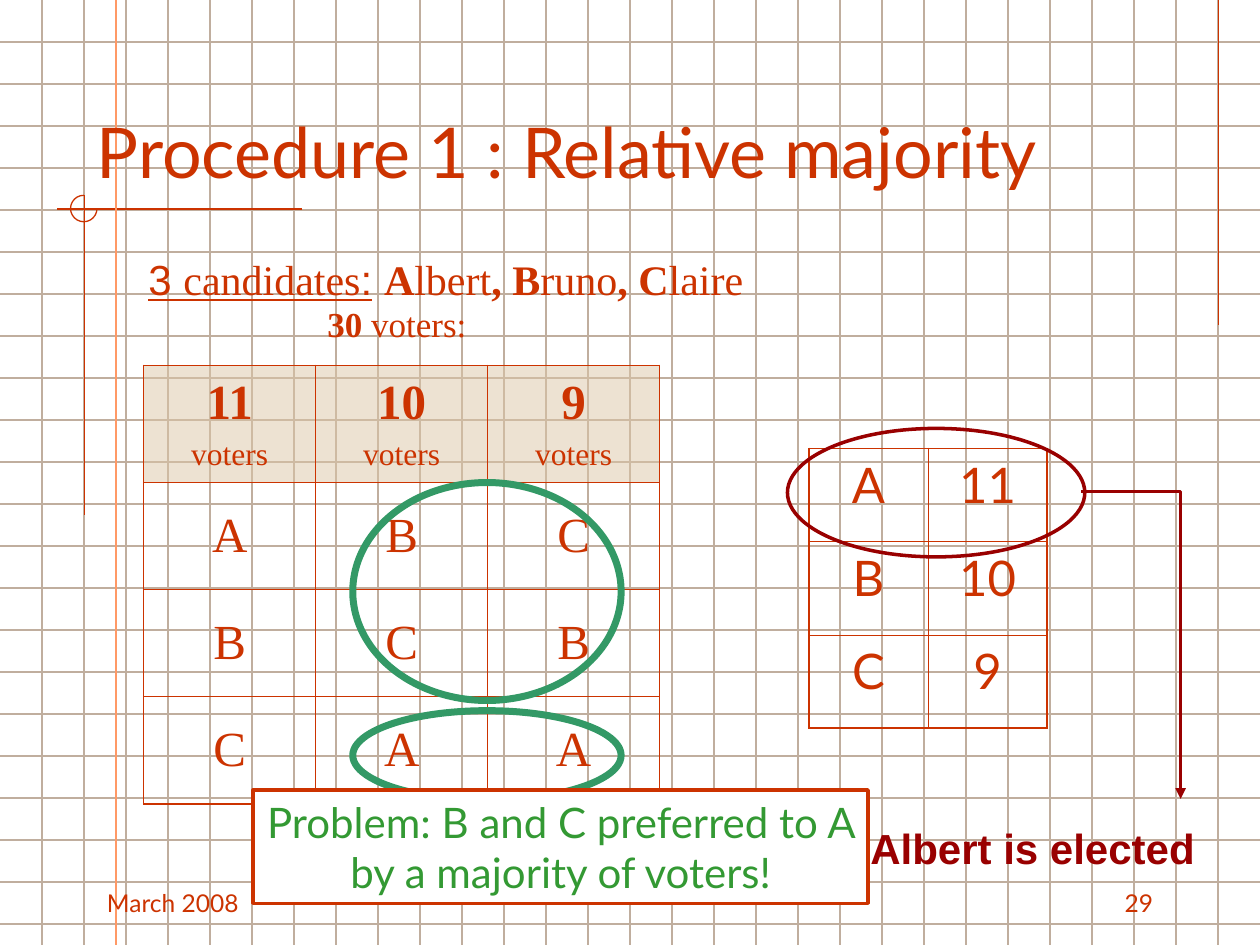
from typing import NamedTuple

from lxml import etree
from pptx import Presentation
from pptx.dml.color import RGBColor
from pptx.enum.shapes import MSO_CONNECTOR, MSO_SHAPE
from pptx.enum.text import MSO_ANCHOR, PP_ALIGN
from pptx.oxml.ns import qn
from pptx.util import Inches, Pt

STRAIGHT = MSO_CONNECTOR.STRAIGHT
OVAL, RECT, ARC = MSO_SHAPE.OVAL, MSO_SHAPE.RECTANGLE, MSO_SHAPE.ARC
LEFT, CENTER, RIGHT = PP_ALIGN.LEFT, PP_ALIGN.CENTER, PP_ALIGN.RIGHT
TOP, MIDDLE, BOTTOM = MSO_ANCHOR.TOP, MSO_ANCHOR.MIDDLE, MSO_ANCHOR.BOTTOM

WIDTH, HEIGHT, GRID_STEP = 10, 7.5, 1 / 3
RED, DARK_RED, GREEN, TEXT_GREEN = "CC3300", "990000", "339966", "339933"
GRID, MARGIN, TAN, WHITE = "C0AE9E", "FF9966", "DDC6A7", "FFFFFF"
SANS, SERIF, ARIAL = "Lato", "Times New Roman", "Arial"
INNER, OUTER = 0.45, 1.08


class Span(NamedTuple):
    text: str
    font: str | None = None
    bold: bool | None = None
    underline: bool | None = None


class Label(NamedTuple):
    box: tuple[float, float, float, float]
    spans: list[Span]
    size: float
    font: str = SANS
    color: str = RED
    align: PP_ALIGN = LEFT
    anchor: MSO_ANCHOR = TOP


class Ellipse(NamedTuple):
    box: tuple[float, float, float, float]
    color: str
    width: float


class Grid(NamedTuple):
    left: float
    top: float
    col_width: float
    row_heights: list[float]
    rows: list[list[str]]
    font: str
    anchor: MSO_ANCHOR
    header: bool


def rgb(color: str) -> RGBColor:
    return RGBColor.from_string(color)


def inches(values) -> list[int]:
    return [Inches(v) for v in values]


def set_line(sp, color: str, width: float) -> None:
    sp.line.color.rgb = rgb(color)
    sp.line.width = Pt(width)


def set_font(p, size: float, font: str, color: str) -> None:
    p.font.size = Pt(size)
    p.font.name = font
    p.font.color.rgb = rgb(color)


def add_line(shapes, x1: float, y1: float, x2: float, y2: float,
             color: str, width: float = 0.75) -> None:
    line = shapes.add_connector(STRAIGHT, *inches((x1, y1, x2, y2)))
    set_line(line, color, width)
    etree.SubElement(line._element.spPr, qn("a:effectLst"))


def add_outline(shapes, kind: MSO_SHAPE, box, color: str, width: float):
    """Add an unfilled preset shape."""
    sp = shapes.add_shape(kind, *inches(box))
    sp.shadow.inherit = False
    sp.fill.background()
    set_line(sp, color, width)
    return sp


def write(tf, label: Label) -> None:
    tf.word_wrap = True
    tf.vertical_anchor = label.anchor
    p = tf.paragraphs[0]
    p.alignment = label.align
    set_font(p, label.size, label.font, label.color)
    for span in label.spans:
        r = p.add_run()
        r.text = span.text
        if span.font:
            r.font.name = span.font
        r.font.bold = span.bold
        r.font.underline = span.underline


def add_label(shapes, label: Label) -> None:
    write(shapes.add_textbox(*inches(label.box)).text_frame, label)


def set_borders(cell, widths: dict[str, float]) -> None:
    tc_pr = cell._tc.get_or_add_tcPr()
    for side, width in widths.items():
        ln = etree.SubElement(tc_pr, qn(f"a:ln{side}"), w=str(Pt(width)))
        fill = etree.SubElement(ln, qn("a:solidFill"))
        etree.SubElement(fill, qn("a:srgbClr"), val=RED)


def fill_header(cell) -> None:
    """Fill the cell with half-transparent tan."""
    cell.fill.solid()
    cell.fill.fore_color.rgb = rgb(TAN)
    color = cell._tc.tcPr.find(f"{qn('a:solidFill')}/{qn('a:srgbClr')}")
    etree.SubElement(color, qn("a:alpha"), val="50000")


def add_grid(shapes, grid: Grid) -> None:
    n_rows, n_cols = len(grid.rows), len(grid.rows[0])
    box = (grid.left, grid.top, grid.col_width * n_cols, sum(grid.row_heights))
    table = shapes.add_table(n_rows, n_cols, *inches(box)).table
    table.first_row = table.horz_banding = False
    for col in table.columns:
        col.width = Inches(grid.col_width)
    heavy_rows = {0, n_rows} | ({1} if grid.header else set())
    for i, texts in enumerate(grid.rows):
        table.rows[i].height = Inches(grid.row_heights[i])
        for j, text in enumerate(texts):
            cell = table.cell(i, j)
            is_header = grid.header and i == 0
            set_borders(cell, {
                "L": OUTER if j == 0 else INNER,
                "R": OUTER if j == n_cols - 1 else INNER,
                "T": OUTER if i in heavy_rows else INNER,
                "B": OUTER if i + 1 in heavy_rows else INNER,
            })
            if is_header:
                fill_header(cell)
            else:
                cell.fill.background()
            cell.vertical_anchor = grid.anchor
            cell.text = text
            for k, p in enumerate(cell.text_frame.paragraphs):
                p.alignment = CENTER
                set_font(p, 18 if k else 28, grid.font, RED)
                p.font.bold = is_header and k == 0
                if k:
                    p.space_before = Pt(4.5)


def add_background(shapes) -> None:
    """Draw the squared paper and the corner ornaments."""
    for i in range(1, 23):
        add_line(shapes, 0, i * GRID_STEP, WIDTH, i * GRID_STEP, GRID)
    for i in range(1, 30):
        add_line(shapes, i * GRID_STEP, 0, i * GRID_STEP, HEIGHT, GRID)
    add_line(shapes, 9.67, 0, 9.67, 2.58, RED)
    add_line(shapes, 2.4, 1.66, 0.45, 1.66, RED)
    add_line(shapes, 0.67, 1.55, 0.67, 4.09, RED)
    arc = add_outline(shapes, ARC, (0.56, 1.55, 0.21, 0.21), RED, 0.75)
    arc.adjustments[0], arc.adjustments[1] = 0, 162  # 0 to 270 degrees


def add_result_arrow(shapes) -> None:
    start, *rest = [inches(pt) for pt in ((8.58, 3.9), (9.37, 3.9), (9.37, 6.34))]
    builder = shapes.build_freeform(*start)
    builder.add_line_segments(rest, close=False)
    sp = builder.convert_to_shape()
    sp.shadow.inherit = False
    sp.fill.background()
    set_line(sp, DARK_RED, 2)
    etree.SubElement(sp.line._get_or_add_ln(), qn("a:tailEnd"), type="triangle")


PREFERENCES = Grid(1.14, 2.9, 1.365, [0.93, 0.85, 0.85, 0.85],
                   [["11\nvoters", "10\nvoters", "9\nvoters"],
                    ["A", "B", "C"], ["B", "C", "B"], ["C", "A", "A"]],
                   SERIF, MIDDLE, True)
SCORES = Grid(6.42, 3.56, 0.945, [0.74] * 3,
              [["A", "11"], ["B", "10"], ["C", "9"]], SANS, TOP, False)
CANDIDATES = [
    Span("3 ", ARIAL, underline=True), Span("candidates", underline=True),
    Span(":", ARIAL, underline=True), Span(" ", ARIAL, True),
    Span("A", bold=True), Span("lbert"), Span(", B", bold=True),
    Span("runo"), Span(", C", bold=True), Span("laire"),
]
LABELS = [
    Label((0.75, 6.83, 2.08, 0.5), [Span("March 2008")], 14, anchor=BOTTOM),
    Label((7.17, 6.83, 2.08, 0.5), [Span("29")], 14, align=RIGHT, anchor=BOTTOM),
    Label((1.08, 1.96, 5.33, 0.5), CANDIDATES, 24, SERIF),
    Label((6.81, 6.48, 2.8, 0.5), [Span("Albert is elected", bold=True)], 24, ARIAL, DARK_RED),
    Label((2.5, 2.35, 1.4, 0.44), [Span("30", bold=True), Span(" voters:")], 20, SERIF),
    Label((0.67, 0.33, 8.5, 1.25), [Span("Procedure 1 : Relative majority")], 40, anchor=BOTTOM),
]
ELLIPSES = [
    Ellipse((6.25, 3.4, 2.36, 1.02), DARK_RED, 2),
    Ellipse((2.8, 5.64, 2.13, 0.71), GREEN, 4),
    Ellipse((2.8, 3.83, 2.13, 1.73), GREEN, 4),
]
PROBLEM = Label((2.01, 6.27, 4.88, 0.9),
                [Span("Problem: B and C preferred to A by a majority of voters!")],
                24, color=TEXT_GREEN, align=CENTER)


def main() -> None:
    prs = Presentation()
    prs.slide_width, prs.slide_height = Inches(WIDTH), Inches(HEIGHT)
    shapes = prs.slides.add_slide(prs.slide_layouts[6]).shapes
    add_background(shapes)
    for grid in (PREFERENCES, SCORES):
        add_grid(shapes, grid)
    add_result_arrow(shapes)
    add_line(shapes, 0.92, 0, 0.92, HEIGHT, MARGIN, 1)
    for label in LABELS:
        add_label(shapes, label)
    for ellipse in ELLIPSES:
        add_outline(shapes, OVAL, *ellipse)
    sp = add_outline(shapes, RECT, PROBLEM.box, RED, 2)
    sp.fill.solid()
    sp.fill.fore_color.rgb = rgb(WHITE)
    write(sp.text_frame, PROBLEM)
    prs.save("out.pptx")


if __name__ == "__main__":
    main()
